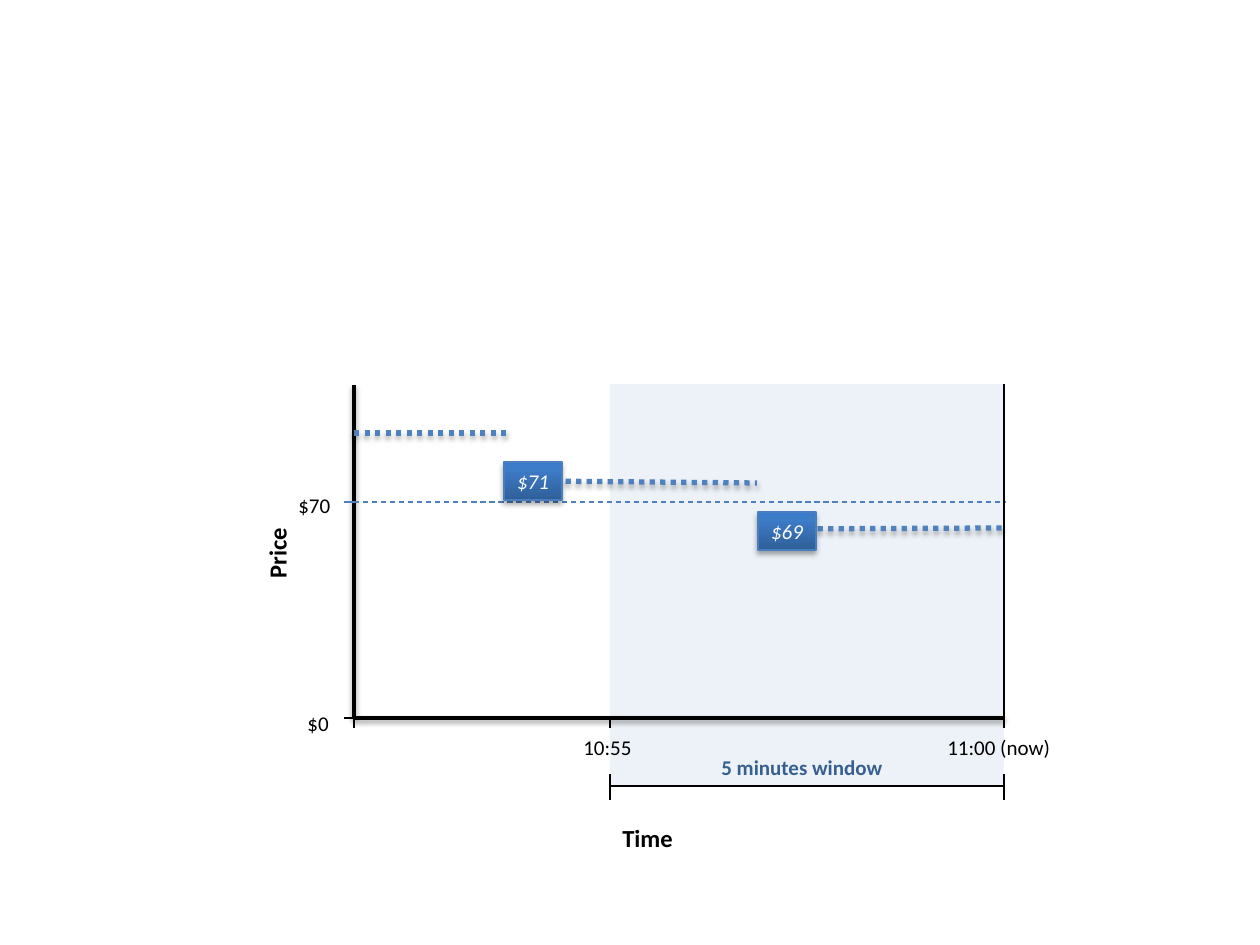
import copy

import pptx
import pptx.dml.color
import pptx.enum.dml
import pptx.enum.shapes
import pptx.enum.text
import pptx.oxml
import pptx.oxml.ns
import pptx.util

SCALE = 914400 / 126  # EMU per pixel
FONT = "Calibri"
COLORS = {
    "black": "000000",
    "white": "FFFFFF",
    "blue": "4F81BD",
    "edge": "4B7EBC",
    "navy": "376092",
}
BOX_GRADIENT = [(0, "2F5F99"), (0.8, "3D7CC7"), (1, "3A7CCB")]
AXIS_SHADOW = (38, 1.6)  # opacity in percent, distance in points
PRICE_SHADOW = (35, 1.8)
DASH = pptx.enum.dml.MSO_LINE.DASH
DOT = pptx.enum.dml.MSO_LINE.ROUND_DOT
LEFT = pptx.enum.text.PP_ALIGN.LEFT
CENTER = pptx.enum.text.PP_ALIGN.CENTER


def px(pixels):
    return pptx.util.Emu(round(pixels * SCALE))


def rgb(name):
    return pptx.dml.color.RGBColor.from_string(COLORS.get(name, name))


def set_effects(shape, shadow=None):
    """Replace the theme effects with a downward shadow, or with none."""
    outer = ""
    if shadow:
        opacity, distance = shadow
        outer = (
            f'<a:outerShdw blurRad="{pptx.util.Pt(3.1)}" dist="{pptx.util.Pt(distance)}" '
            'dir="5400000" rotWithShape="0"><a:srgbClr val="000000">'
            f'<a:alpha val="{opacity * 1000}"/></a:srgbClr></a:outerShdw>'
        )
    namespace = pptx.oxml.ns.nsdecls("a")
    effects = pptx.oxml.parse_xml(f"<a:effectLst {namespace}>{outer}</a:effectLst>")
    shape._element.spPr.append(effects)


def add_line(slide, start, end, color="black", width=0.75, dash=None, shadow=None):
    line = slide.shapes.add_connector(
        pptx.enum.shapes.MSO_CONNECTOR.STRAIGHT, *map(px, start + end))
    line.line.color.rgb = rgb(color)
    line.line.width = pptx.util.Pt(width)
    if dash:
        line.line.dash_style = dash
    set_effects(line, shadow)


def add_rectangle(slide, left, top, width, height):
    return slide.shapes.add_shape(
        pptx.enum.shapes.MSO_SHAPE.RECTANGLE, *map(px, (left, top, width, height)))


def write_text(shape, text, color="black", size=12, bold=False, italic=False,
               align=LEFT, wrap=False):
    frame = shape.text_frame
    frame.word_wrap = wrap
    frame.auto_size = pptx.enum.text.MSO_AUTO_SIZE.SHAPE_TO_FIT_TEXT
    frame.text = text
    paragraph = frame.paragraphs[0]
    paragraph.alignment = align
    font = paragraph.font
    font.name, font.size = FONT, pptx.util.Pt(size)
    font.bold, font.italic = bold, italic
    font.color.rgb = rgb(color)


def add_label(slide, text, left, top, width, height=38, **style):
    label = slide.shapes.add_textbox(*map(px, (left, top, width, height)))
    write_text(label, text, **style)
    return label


def add_window(slide, left, top, width, height):
    window = add_rectangle(slide, left, top, width, height)
    window.fill.solid()
    window.fill.fore_color.rgb = rgb("blue")
    color = window._element.spPr.find(".//" + pptx.oxml.ns.qn("a:srgbClr"))
    color.append(pptx.oxml.parse_xml(
        f'<a:alpha {pptx.oxml.ns.nsdecls("a")} val="10000"/>'))
    window.line.fill.background()
    set_effects(window)


def add_price_box(slide, text, left, top):
    box = add_rectangle(slide, left, top, 58, 38)
    box.fill.gradient()
    stops = box._element.spPr.find(".//" + pptx.oxml.ns.qn("a:gsLst"))
    stops.append(copy.deepcopy(stops[-1]))
    for stop, (position, color) in zip(box.fill.gradient_stops, BOX_GRADIENT):
        stop.position = position
        stop.color.rgb = rgb(color)
    box.fill.gradient_angle = 90
    box.line.color.rgb = rgb("edge")
    box.line.width = pptx.util.Pt(0.75)
    set_effects(box, PRICE_SHADOW)
    write_text(box, text, "white", italic=True, align=CENTER)


def main():
    presentation = pptx.Presentation()
    presentation.slide_width, presentation.slide_height = px(1260), px(945)
    slide = presentation.slides.add_slide(presentation.slide_layouts[6])

    # Plot area edges
    left, start, now = 354, 610, 1004
    top, threshold, base = 385, 502, 718
    tick = 10

    # Window and axes
    add_window(slide, start, top - 1, now - start, 403)
    for end in ((now, base), (left, top)):
        add_line(slide, (left, base), end, width=2, shadow=AXIS_SHADOW)

    # Ticks and threshold
    for x in (left, start):
        add_line(slide, (x, base), (x, base + tick))
    add_line(slide, (left, base), (left - tick, base))
    add_line(slide, (left, threshold), (left - tick, threshold), "edge")
    add_line(slide, (left, threshold), (now + 2, threshold), "blue", dash=DASH)

    # Axis labels
    add_label(slide, "11:00 (now)", 935, 728, 130)
    add_label(slide, "10:55", 571, 728, 74)
    add_label(slide, "$0", 295, 704, 54, wrap=True)
    add_label(slide, "$70", 286, 486, 66, wrap=True)
    add_label(slide, "Time", 610, 817, 77, 43, size=14, bold=True)
    price = add_label(slide, "Price", 256, 512, 55, 79, size=14, bold=True, wrap=True)
    price.text_frame._txBody.bodyPr.set("vert", "vert270")

    # Price levels
    levels = [((left, 433), (508, 433)), ((534, 481), (757, 483)), ((786, 529), (now, 528))]
    for level_start, level_end in levels:
        add_line(slide, level_start, level_end, "blue", 3, DOT, PRICE_SHADOW)
    add_line(slide, (now, base + tick), (now, top - 1))
    add_price_box(slide, "$71", 504, 462)
    add_price_box(slide, "$69", 758, 512)

    # Window bracket
    add_line(slide, (start, 786), (now, 786))
    for x in (start, now):
        add_line(slide, (x, 800), (x, 774))
    add_label(slide, "5 minutes window", 709, 748, 189, color="navy", bold=True)

    presentation.save("out.pptx")


main()
